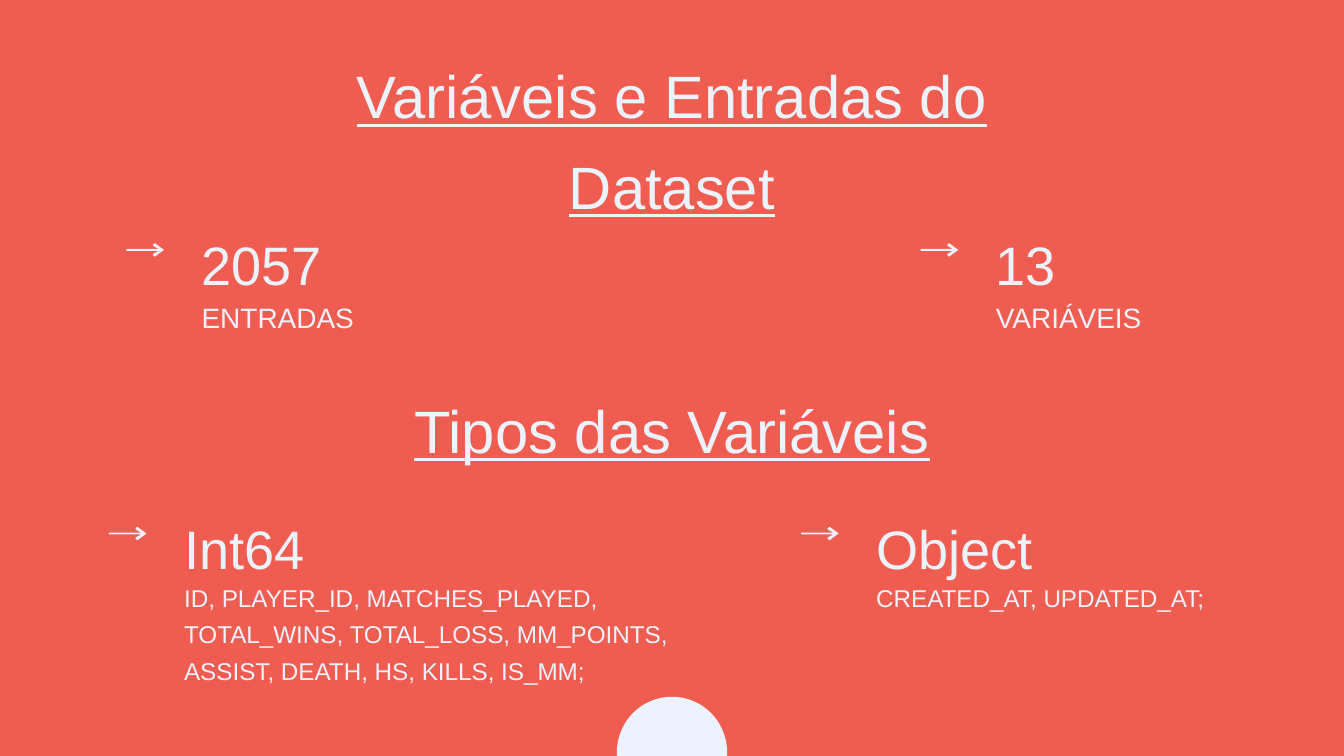
from math import cos, pi, sin

from pptx import Presentation
from pptx import util as u
from pptx.dml.color import RGBColor
from pptx.enum import text

COLORS = {"coral": "EF5D50", "ice": "ECF2FE"}
FONT = "Arial"
COLUMNS, ROWS = 100, 56.25
CELL = u.Inches(0.1)
ARROW = [(1, 0.5), (0.76, 0), (0.71, 0.1), (0.71, 0.2), (0.86, 0.43), (0, 0.43),
         (0, 0.57), (0.86, 0.57), (0.71, 0.8), (0.71, 0.9), (0.76, 1)]


def grid(cells):
    return round(cells * CELL)


def color(name):
    return RGBColor.from_string(COLORS[name])


def add_text(shapes, box, words, size, spacing, centred=False):
    label = shapes.add_textbox(*map(grid, box))
    frame = label.text_frame
    frame.word_wrap = True
    frame.margin_left = frame.margin_top = 0
    frame.margin_right = frame.margin_bottom = 0
    para = frame.paragraphs[0]
    para.line_spacing = spacing
    para.alignment = text.PP_ALIGN.CENTER if centred else text.PP_ALIGN.LEFT
    span = para.add_run()
    span.text = words
    span.font.name = FONT
    span.font.size = u.Pt(size)
    span.font.color.rgb = color("ice")
    span.font.underline = centred


def add_outline(page, box, points):
    left, top, width, height = box
    corners = [(grid(left + x * width), grid(top + y * height)) for x, y in points]
    builder = page.shapes.build_freeform(*corners[0])
    builder.add_line_segments(corners[1:], close=True)
    outline = builder.convert_to_shape()
    outline.shadow.inherit = False
    outline.fill.solid()
    outline.fill.fore_color.rgb = color("ice")
    outline.line.fill.background()


def add_heading(page, box, words):
    add_text(page.shapes, box, words, 32, 1.26, centred=True)


def add_item(page, box, title, detail, size):
    left, top, width, height = box
    group = page.shapes.add_group_shape()
    add_text(group.shapes, (left, top, width, 5.1), title, 29, 1.3)
    add_text(group.shapes, (left, top + 5.9, width, height - 5.9), detail, size, 1.26)
    add_outline(page, (left - 5.6, top + 2.3, 2.8, 1), ARROW)


def add_dome(page, box):
    steps = 60
    arc = [((1 - cos(pi * i / steps)) / 2, 0.94 * (1 - sin(pi * i / steps)))
           for i in range(steps + 1)]
    add_outline(page, box, [(0, 1), *arc, (1, 1)])


def main():
    deck = Presentation()
    deck.slide_width, deck.slide_height = grid(COLUMNS), grid(ROWS)
    page = deck.slides.add_slide(deck.slide_layouts[6])
    page.background.fill.solid()
    page.background.fill.fore_color.rgb = color("coral")

    dome_width, dome_height = 8.2, 4.4
    add_dome(page, ((COLUMNS - dome_width) / 2, ROWS - dome_height,
                    dome_width, dome_height))

    heading_width = 59.2
    heading_left = (COLUMNS - heading_width) / 2
    add_heading(page, (heading_left, 3, heading_width, 11.1),
                "Variáveis e Entradas do Dataset")
    add_heading(page, (heading_left, 27.9, heading_width, 5.5), "Tipos das Variáveis")

    items = [
        ((15, 15.8, 19.1, 8.5), "2057", "ENTRADAS", 15),
        ((74.1, 15.8, 19.1, 8.5), "13", "VARIÁVEIS", 15),
        ((13.7, 36.9, 42.5, 12.3), "Int64",
         "ID, PLAYER_ID, MATCHES_PLAYED, TOTAL_WINS, TOTAL_LOSS, MM_POINTS, "
         "ASSIST, DEATH, HS, KILLS, IS_MM;", 13),
        ((65.2, 36.9, 28, 8.1), "Object", "CREATED_AT, UPDATED_AT;", 13),
    ]
    for item in items:
        add_item(page, *item)

    deck.save("out.pptx")


if __name__ == "__main__":
    main()
